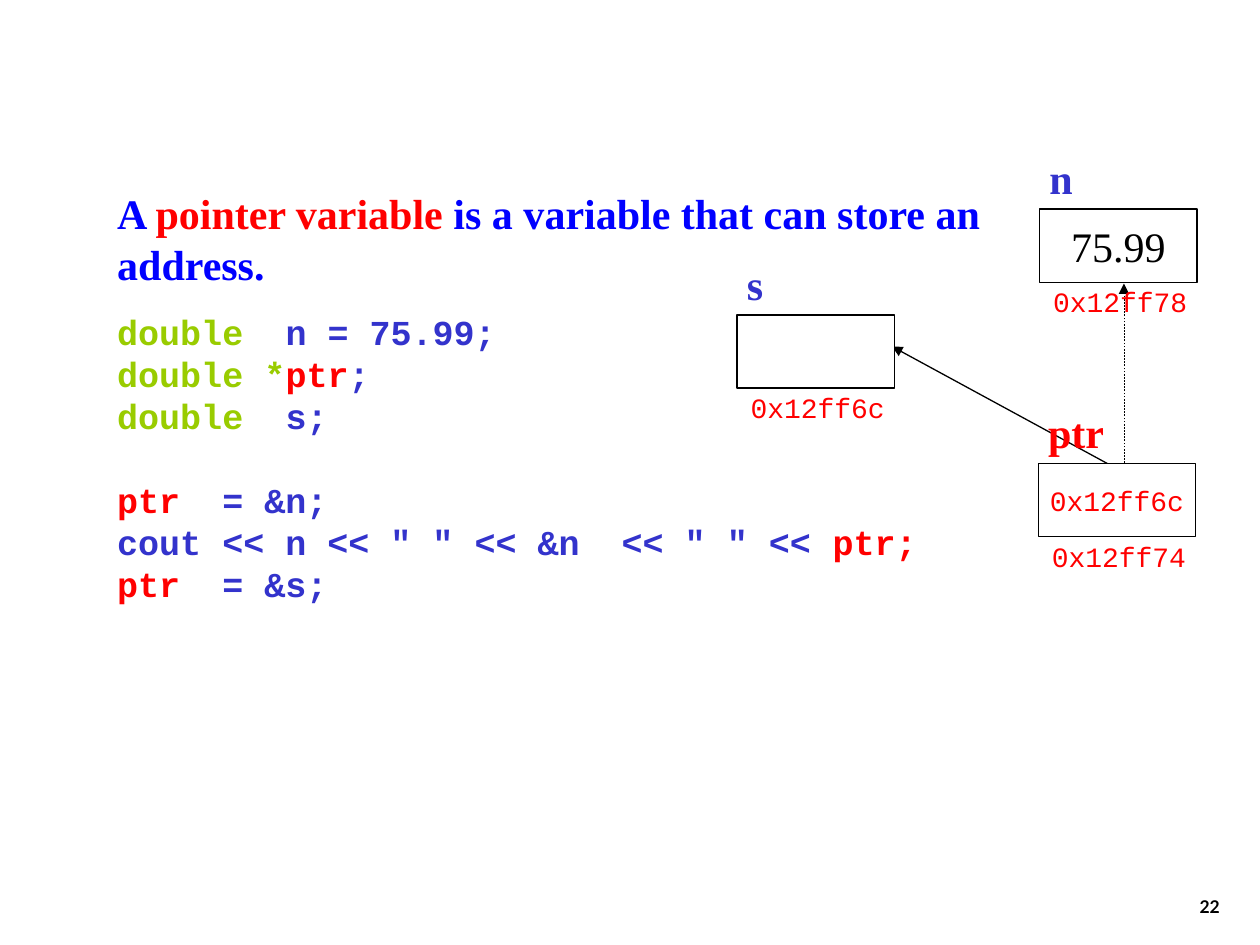
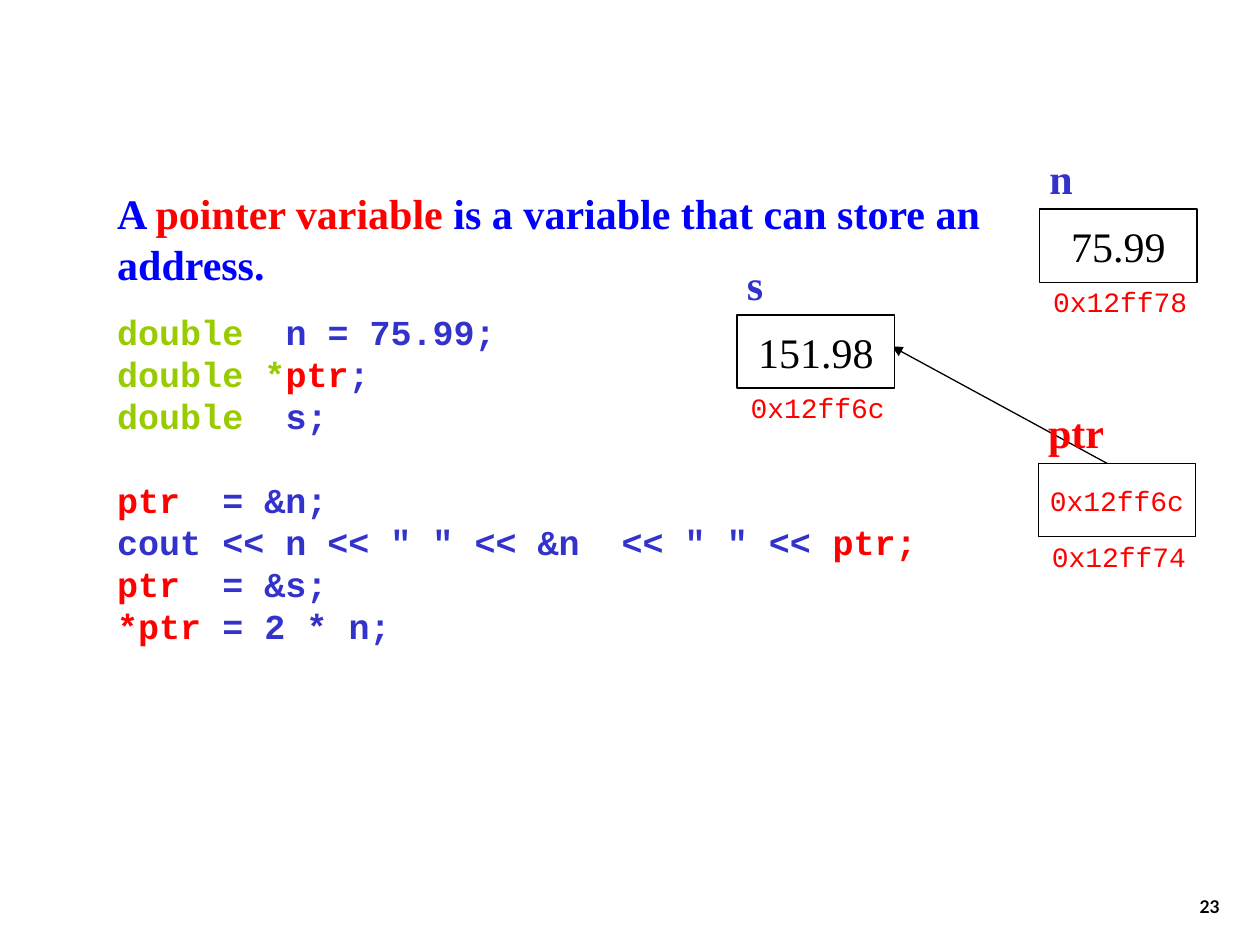
from dataclasses import dataclass

from lxml import etree
from pptx import Presentation
from pptx import util as u
from pptx.dml import color
from pptx.enum import dml, shapes, text
from pptx.oxml import ns


@dataclass(frozen=True)
class Theme:
    blue: str = "0000FF"
    indigo: str = "3333CC"
    red: str = "FF0000"
    green: str = "99CC00"
    black: str = "000000"
    white: str = "FFFFFF"
    serif: str = "Times New Roman"
    mono: str = "Courier New"
    sans: str = "Lato"
    statement_size: int = 24
    code_size: int = 20
    address_size: int = 16
    number_size: int = 10


theme = Theme()
PX = 9144


def write(paragraph, runs, font_name, size, bold=False):
    for words, hue in runs:
        run = paragraph.add_run()
        run.text = words
        run.font.name = font_name
        run.font.size = u.Pt(size)
        run.font.bold = bold
        run.font.color.rgb = color.RGBColor.from_string(hue)


def add_label(container, box, words, hue, font_name, size, bold=False):
    label = container.add_textbox(*[value * PX for value in box])
    label.text_frame.word_wrap = False
    label.text_frame.auto_size = text.MSO_AUTO_SIZE.SHAPE_TO_FIT_TEXT
    write(label.text_frame.paragraphs[0], [(words, hue)], font_name, size, bold)
    return label


statement = [
    ("A ", theme.blue),
    ("pointer variable", theme.red),
    (" is a variable that can store an address.", theme.blue),
]
shared_code = [
    [("double  ", theme.green), ("n = 75.99;", theme.indigo)],
    [("double *", theme.green), ("ptr", theme.red), (";", theme.indigo)],
    [("double  ", theme.green), ("s;", theme.indigo)],
    [("ptr  ", theme.red), ("= &n;", theme.indigo)],
    [('cout << n << " " << &n  << " " << ', theme.indigo), ("ptr;", theme.red)],
    [("ptr  ", theme.red), ("= &s;", theme.indigo)],
]
store_code = [[("*ptr ", theme.red), ("= 2 * n;", theme.indigo)]]
code_gaps = {0: 12.5, 3: 24}

pointer_arrow = ((892, 375), (708, 275), 0.75, None)
old_arrow = ((892, 375), (892, 225), 0.25, dml.MSO_LINE.DASH)

number_style = (theme.black, theme.serif, theme.statement_size)
address_style = (theme.red, theme.mono, theme.address_size)

steps = [
    ("22", shared_code, [pointer_arrow, old_arrow], ""),
    ("23", shared_code + store_code, [pointer_arrow], "151.98"),
]

presentation = Presentation()
presentation.slide_width = 1000 * PX
presentation.slide_height = 750 * PX

for slide_number, code, arrows, s_value in steps:
    slide = presentation.slides.add_slide(presentation.slide_layouts[1])
    title = slide.shapes.title.element
    title.getparent().remove(title)

    number = add_label(slide.shapes, (770, 683, 208, 50), slide_number,
                       theme.black, theme.sans, theme.number_size, True)
    number.text_frame.word_wrap = True
    number.text_frame.auto_size = text.MSO_AUTO_SIZE.NONE
    number.text_frame.vertical_anchor = text.MSO_ANCHOR.BOTTOM
    number.text_frame.paragraphs[0].alignment = text.PP_ALIGN.RIGHT

    body = slide.placeholders[1]
    body.left, body.top, body.width = 83 * PX, 83 * PX, 767 * PX
    body.height = (402 + 33 * (len(code) - len(shared_code))) * PX
    frame = body.text_frame
    frame.auto_size = text.MSO_AUTO_SIZE.SHAPE_TO_FIT_TEXT
    frame.vertical_anchor = text.MSO_ANCHOR.TOP
    frame.margin_top = 66 * PX
    write(frame.paragraphs[0], statement, theme.serif, theme.statement_size, True)
    for index, line in enumerate(code):
        paragraph = frame.add_paragraph()
        write(paragraph, line, theme.mono, theme.code_size, True)
        paragraph.space_before = u.Pt(code_gaps.get(index, 0))
        paragraph.line_spacing = u.Pt(1.2 * theme.code_size)
    frame.paragraphs[0].space_before = u.Pt(0)
    frame.paragraphs[0].line_spacing = u.Pt(1.2 * theme.statement_size)
    for paragraph in frame.paragraphs:
        properties = paragraph._p.get_or_add_pPr()
        properties.set("marL", "0")
        properties.set("indent", "0")
        etree.SubElement(properties, ns.qn("a:buNone"))

    for start, end, width, dash in arrows:
        arrow = slide.shapes.add_connector(
            shapes.MSO_CONNECTOR.STRAIGHT, *[value * PX for value in start + end])
        arrow.line.color.rgb = color.RGBColor.from_string(theme.black)
        arrow.line.width = u.Pt(width)
        if dash:
            arrow.line.dash_style = dash
        etree.SubElement(arrow.line._get_or_add_ln(), ns.qn("a:tailEnd"), type="triangle")
        etree.SubElement(arrow._element.spPr, ns.qn("a:effectLst"))

    variables = [
        ("s", 33, theme.indigo, 585, 250, s_value, number_style, "0x12ff6c"),
        ("ptr", 65, theme.red, 824, 368, "0x12ff6c", address_style, "0x12ff74"),
        ("n", 38, theme.indigo, 825, 166, "75.99", number_style, "0x12ff78"),
    ]
    for name, name_width, name_hue, left, top, value, value_style, address in variables:
        variable = slide.shapes.add_group_shape()
        cell = variable.shapes.add_shape(
            shapes.MSO_SHAPE.RECTANGLE, left * PX, top * PX, 125 * PX, 58 * PX)
        cell.shadow.inherit = False
        cell.fill.solid()
        cell.fill.fore_color.rgb = color.RGBColor.from_string(theme.white)
        cell.line.color.rgb = color.RGBColor.from_string(theme.black)
        cell.line.width = u.Pt(0.75)
        if value:
            hue, font_name, size = value_style
            cell.text_frame.word_wrap = False
            cell.text_frame.vertical_anchor = text.MSO_ANCHOR.MIDDLE
            cell.text_frame.paragraphs[0].alignment = text.PP_ALIGN.CENTER
            write(cell.text_frame.paragraphs[0], [(value, hue)], font_name, size)
        add_label(variable.shapes, (left - 2, top - 50, name_width, 50), name,
                  name_hue, theme.serif, theme.statement_size, True)
        add_label(variable.shapes, (left + 1, top + 55, 127, 37), address, *address_style)

presentation.save("out.pptx")
